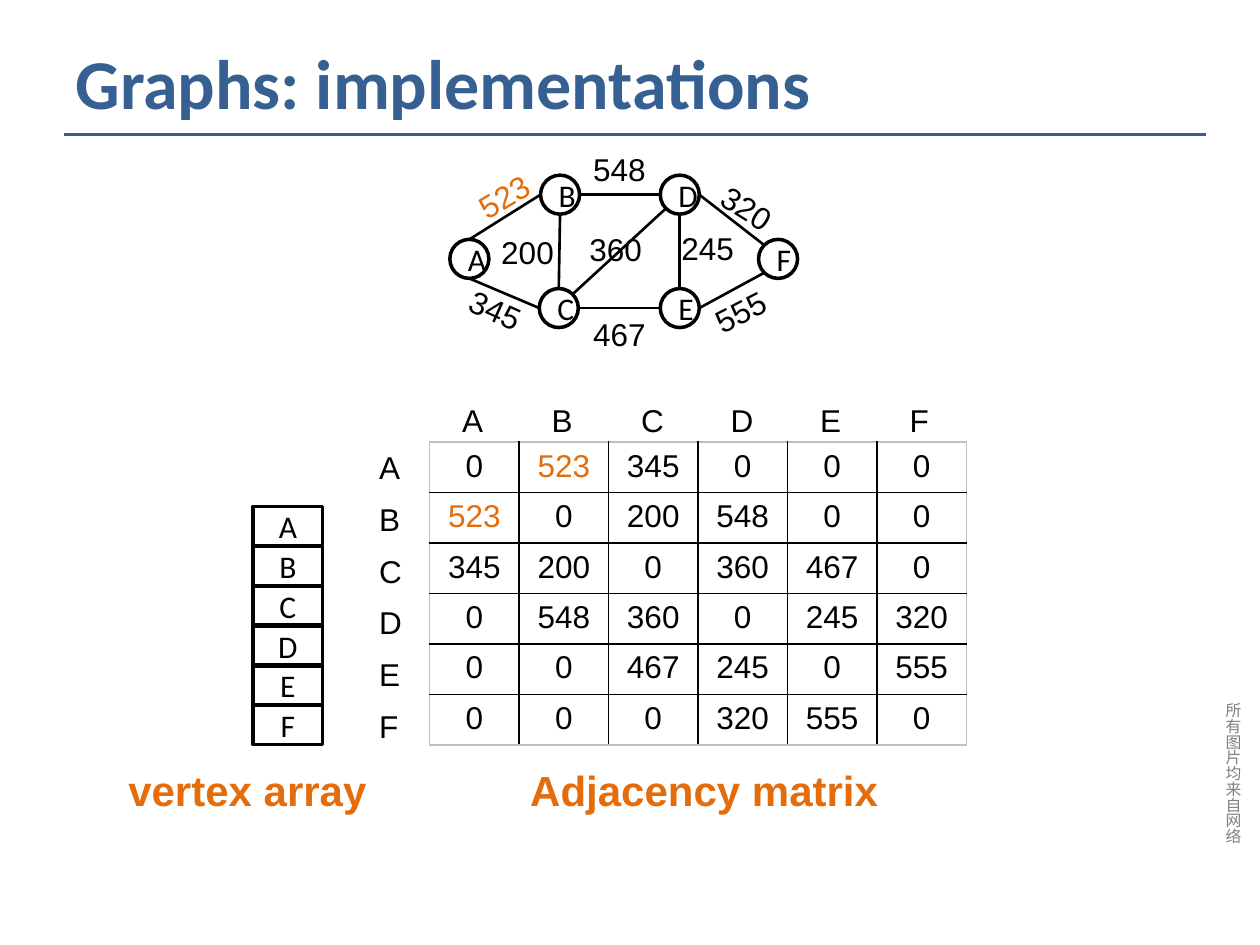
from math import cos, radians, sin

from lxml import etree
from pptx import Presentation
from pptx import util as u
from pptx.dml.color import RGBColor
from pptx.enum import shapes, text
from pptx.oxml.ns import qn

COLORS = {"ink": "000000", "paper": "FFFFFF", "blue": "376092",
          "accent": "E46C0A", "note": "808080", "edge": "C0C0C0"}

TITLE = "Graphs: implementations"
SIDE_NOTE = "所有图片均来自网络"
HIGHLIGHT = 523

# vertex: left, top of its circle
VERTICES = {"A": (3.57, 1.9), "B": (4.29, 1.39), "C": (4.28, 2.29),
            "D": (5.24, 1.39), "E": (5.24, 2.29), "F": (6.02, 1.9)}
# two vertices, angle at which the edge leaves each (degrees clockwise from
# the right), weight, left and top of the weight, its rotation
EDGES = [
    ("B", "A", 180, 270, 523, 3.68, 1.32, -30.9),
    ("C", "A", 180, 90, 345, 3.62, 2.29, 24.3),
    ("D", "B", 180, 0, 548, 4.61, 1.14, 0),
    ("E", "C", 180, 0, 467, 4.61, 2.45, 0),
    ("F", "D", 225, 0, 320, 5.61, 1.49, 32.1),
    ("F", "E", 135, 0, 555, 5.56, 2.24, -27.2),
    ("D", "E", 90, 270, 245, 5.31, 1.77, 0),
    ("B", "C", 90, 270, 200, 3.88, 1.8, 0),
    ("D", "C", 135, 315, 360, 4.58, 1.78, 0),
]
CAPTIONS = [("Adjacency matrix", 4.11, 3.85), ("vertex array", 0.92, 2.47)]

NODE = 0.31
ARRAY_LEFT, ARRAY_TOP, ARRAY_WIDTH, ARRAY_STEP = 2.01, 4.02, 0.55, 0.316
MATRIX_LEFT, MATRIX_TOP, COLUMN, ROW = 3.41, 3.51, 0.71, 0.38
HEADING_STEP = 0.41


def rgb(name):
    return RGBColor.from_string(COLORS[name])


def box_of(*lengths):
    return [u.Inches(length) for length in lengths]


def write(frame, words, size=18, font="Arial", color="ink", bold=False, align=None):
    paragraph = frame.paragraphs[0]
    if align is not None:
        paragraph.alignment = align
    run = paragraph.add_run()
    run.text = words
    run.font.size, run.font.name, run.font.bold = u.Pt(size), font, bold
    run.font.color.rgb = rgb(color)


def add_label(slide, words, left, top, width, height=0.4, turn=0, **style):
    label = slide.shapes.add_textbox(*box_of(left, top, width, height))
    label.rotation = turn
    label.text_frame.word_wrap = True
    write(label.text_frame, words, **style)
    return label


def add_line(slide, start, end, width=1.5, color="ink"):
    line = slide.shapes.add_connector(
        shapes.MSO_CONNECTOR.STRAIGHT, *box_of(*start, *end))
    line.line.width = u.Pt(width)
    line.line.color.rgb = rgb(color)
    etree.SubElement(line._element.spPr, qn("a:effectLst"))


def add_vertex(slide, kind, letter, left, top, width):
    vertex = slide.shapes.add_shape(kind, *box_of(left, top, width, NODE))
    vertex.shadow.inherit = False
    vertex.fill.solid()
    vertex.fill.fore_color.rgb = rgb("paper")
    vertex.line.color.rgb = rgb("ink")
    vertex.line.width = u.Pt(2)
    vertex.text_frame.vertical_anchor = text.MSO_ANCHOR.MIDDLE
    write(vertex.text_frame, letter, font="Calibri", align=text.PP_ALIGN.CENTER)


def rim_point(letter, angle):
    """Point on a vertex circle at the given angle."""
    radius, turn = NODE / 2, radians(angle)
    left, top = VERTICES[letter]
    return left + radius * (1 + cos(turn)), top + radius * (1 + sin(turn))


def set_borders(cell, row, column, last):
    outer = {"L": column == 0, "R": column == last, "T": row == 0, "B": row == last}
    for position, (side, is_outer) in enumerate(outer.items()):
        border = etree.Element(qn("a:ln" + side), w=str(u.Pt(1)))
        fill = etree.SubElement(border, qn("a:solidFill"))
        etree.SubElement(fill, qn("a:srgbClr"), val=COLORS["edge" if is_outer else "ink"])
        cell._tc.get_or_add_tcPr().insert(position, border)


def add_heading(slide):
    title = slide.shapes.title
    title.left, title.top, title.width, title.height = box_of(0.5, 0.3, 9, 0.69)
    title.text_frame.vertical_anchor = text.MSO_ANCHOR.MIDDLE
    write(title.text_frame, TITLE, 40, "Calibri", "blue", True, text.PP_ALIGN.LEFT)
    add_line(slide, (0.51, 1.07), (9.57, 1.07), 1.75, "blue")
    note = add_label(slide, SIDE_NOTE, 9.56, 5.48, 0.35, 1.34,
                     size=9, font="Calibri", color="note")
    note.text_frame._txBody.bodyPr.set("vert", "eaVert")


def add_graph(slide):
    for letter, (left, top) in VERTICES.items():
        add_vertex(slide, shapes.MSO_SHAPE.OVAL, letter, left, top, NODE)
    for start, end, leave, arrive, weight, left, top, turn in EDGES:
        add_line(slide, rim_point(start, leave), rim_point(end, arrive))
        add_label(slide, str(weight), left, top, 0.76, turn=turn,
                  color="accent" if weight == HIGHLIGHT else "ink")


def add_matrix(slide):
    letters = list(VERTICES)
    count = len(letters)
    weights = {frozenset(edge[:2]): edge[4] for edge in EDGES}
    frame = slide.shapes.add_table(count, count, *box_of(
        MATRIX_LEFT, MATRIX_TOP, COLUMN * count, ROW * count))
    matrix = frame.table
    matrix.first_row = matrix.horz_banding = False
    for row, source in enumerate(letters):
        matrix.rows[row].height = u.Inches(ROW)
        for column, target in enumerate(letters):
            weight = weights.get(frozenset((source, target)), 0)
            cell = matrix.cell(row, column)
            cell.fill.background()
            set_borders(cell, row, column, count - 1)
            write(cell.text_frame, str(weight), align=text.PP_ALIGN.CENTER,
                  color="accent" if weight == HIGHLIGHT else "ink")
    for place, letter in enumerate(letters):
        add_label(slide, letter, 3.57 + place * COLUMN, 3.13, 0.39)
        add_label(slide, letter, 2.91, MATRIX_TOP + place * HEADING_STEP, 0.39)


def main():
    deck = Presentation()
    deck.slide_width, deck.slide_height = box_of(10, 7.5)
    slide = deck.slides.add_slide(deck.slide_layouts[5])
    add_heading(slide)
    add_graph(slide)
    for place, letter in enumerate(VERTICES):
        add_vertex(slide, shapes.MSO_SHAPE.RECTANGLE, letter, ARRAY_LEFT,
                   ARRAY_TOP + place * ARRAY_STEP, ARRAY_WIDTH)
    add_matrix(slide)
    for words, left, width in CAPTIONS:
        add_label(slide, words, left, 6.02, width, 0.5,
                  size=24, color="accent", bold=True)
    deck.save("out.pptx")


if __name__ == "__main__":
    main()
